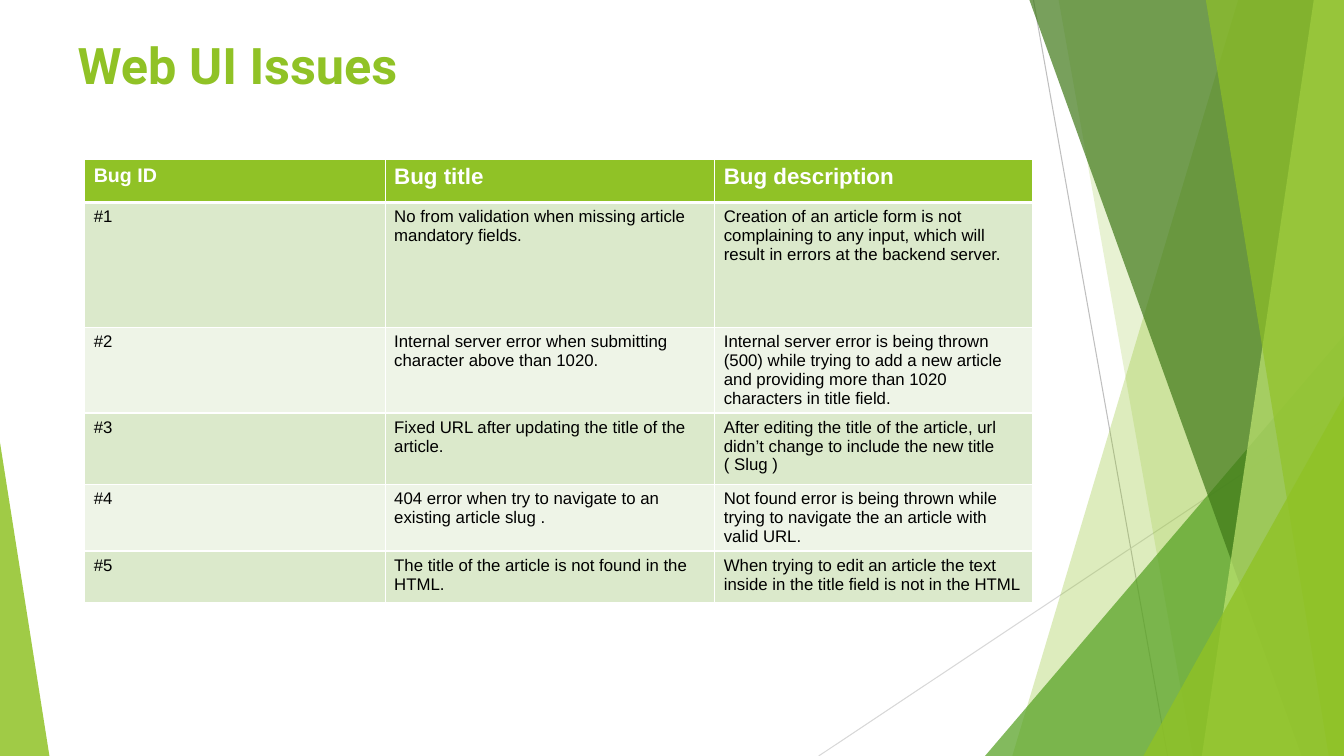
from lxml import etree
from pptx import Presentation
from pptx import util as u
from pptx.dml.color import RGBColor
from pptx.enum import shapes, text
from pptx.oxml import ns

HUES = {
    "lime": "90C226", "leaf": "54A021", "moss": "3F7818", "pale": "BFE471",
    "white": "FFFFFF", "black": "000000", "odd": "DBE9CB", "even": "EEF4E7",
    "grey": "BFBFBF", "mist": "D8D8D8",
}
WIDE, HIGH = 13.33, 7.5

# Top left, top right, bottom right and bottom left x, hue, opacity
BACK = [(12.28, 10.04, "lime", 30), (10.5, 11.83, "lime", 20)]
FRONT = [(10.21, 12.91, "moss", 70), (13.03, 11.92, "pale", 70),
         (11.96, 13.18, "lime", 65)]

HEAD = ["Bug ID", "Bug title", "Bug description"]
BUGS = [
    ("No from validation when missing article mandatory fields.",
     "Creation of an article form is not complaining to any input, "
     "which will result in errors at the backend server."),
    ("Internal server error when submitting character above than 1020.",
     "Internal server error is being thrown (500) while trying to add a new "
     "article and providing more than 1020 characters in title field."),
    ("Fixed URL after updating the title of the article.",
     "After editing the title of the article, url didn\u2019t change to "
     "include the new title ( Slug )"),
    ("404 error when try to navigate to an existing article slug .",
     "Not found error is being thrown while trying to navigate the an "
     "article with valid URL."),
    ("The title of the article is not found in the HTML.",
     "When trying to edit an article the text inside in the title field "
     "is not in the HTML"),
]
COLS = [2.98, 3.27, 3.15]
ROWS = [0.43, 1.24, 0.71, 0.71, 0.51, 0.51]


def rgb(hue):
    """Return the named colour."""
    return RGBColor.from_string(HUES[hue])


def add_run(para, words, size, font, hue, bold=False):
    """Add one formatted run to a paragraph."""
    run = para.add_run()
    run.text = words
    run.font.size = u.Pt(size)
    run.font.name = font
    run.font.bold = bold
    run.font.color.rgb = rgb(hue)


def tint(shape, hue, alpha):
    """Give a shape a see-through fill with no line or shadow."""
    shape.shadow.inherit = False
    shape.line.fill.background()
    shape.fill.solid()
    shape.fill.fore_color.rgb = rgb(hue)
    color = shape.fill._xPr.find(".//" + ns.qn("a:srgbClr"))
    etree.SubElement(color, ns.qn("a:alpha"), val=str(alpha * 1000))


def add_pane(slide, top, foot, hue, alpha):
    """Draw a full-height pane from a slanted left edge to the slide's right."""
    spots = [(top, 0), (WIDE, 0), (WIDE, HIGH), (foot, HIGH)]
    spots = [(u.Inches(x), u.Inches(y)) for x, y in spots]
    pen = slide.shapes.build_freeform(*spots[0])
    pen.add_line_segments(spots[1:], close=True)
    tint(pen.convert_to_shape(), hue, alpha)


def add_wedge(slide, left, top, wide, peak, hue, alpha):
    """Draw a triangle standing on the slide's bottom edge."""
    box = [u.Inches(n) for n in (left, top, wide, HIGH - top)]
    wedge = slide.shapes.add_shape(
        shapes.MSO_SHAPE.ISOSCELES_TRIANGLE, *box)
    wedge.adjustments[0] = peak
    tint(wedge, hue, alpha)


def add_line(slide, x1, y1, x2, y2, hue):
    """Draw a thin straight line."""
    ends = [u.Inches(n) for n in (x1, y1, x2, y2)]
    line = slide.shapes.add_connector(shapes.MSO_CONNECTOR.STRAIGHT, *ends)
    line.line.width = u.Pt(0.75)
    line.line.color.rgb = rgb(hue)
    etree.SubElement(line._element.spPr, ns.qn("a:effectLst"))


def add_decor(slide):
    """Draw the green facets at both sides."""
    add_line(slide, 10.25, 0, 11.58, HIGH, "grey")
    add_line(slide, WIDE, 4.03, 8.12, HIGH, "mist")
    for pane in BACK:
        add_pane(slide, *pane)
    add_wedge(slide, 9.77, 3.33, 3.56, 1, "leaf", 72)
    for pane in FRONT:
        add_pane(slide, *pane)
    add_wedge(slide, 11.34, 3.93, 1.99, 1, "lime", 80)
    add_wedge(slide, 0, 4.39, 0.49, 0, "lime", 85)


def add_edge(cell, side, width):
    """Give one side of a cell a white border."""
    props = cell._tc.get_or_add_tcPr()
    edge = etree.SubElement(props, ns.qn("a:ln" + side),
                            w=str(u.Pt(width)))
    fill = etree.SubElement(edge, ns.qn("a:solidFill"))
    etree.SubElement(fill, ns.qn("a:srgbClr"), val=HUES["white"])


def fill_cell(cell, row, col, words):
    """Style one cell by its place and write its text."""
    thick = {(0, "B"), (1, "T")}
    for side in "LRTB":
        add_edge(cell, side, 3 if (row, side) in thick else 1)
    cell.margin_left = cell.margin_right = u.Inches(0.09)
    cell.margin_top = cell.margin_bottom = u.Inches(0.05)
    cell.fill.solid()
    para = cell.text_frame.paragraphs[0]
    if row == 0:
        cell.fill.fore_color.rgb = rgb("lime")
        add_run(para, words, 16 if col else 14, "Arial", "white", True)
    else:
        cell.fill.fore_color.rgb = rgb("odd" if row % 2 else "even")
        add_run(para, words, 12, "Arial", "black")


def add_bugs(slide):
    """Build the table of bugs."""
    data = [HEAD] + [(f"#{n}", *bug) for n, bug in enumerate(BUGS, 1)]
    box = [u.Inches(n) for n in (0.84, 1.58, sum(COLS), sum(ROWS))]
    table = slide.shapes.add_table(len(ROWS), len(COLS), *box).table
    for col, wide in zip(table.columns, COLS):
        col.width = u.Inches(wide)
    for row, high in zip(table.rows, ROWS):
        row.height = u.Inches(high)
    for r, line in enumerate(data):
        for c, words in enumerate(line):
            fill_cell(table.cell(r, c), r, c, words)


def set_title(slide, words):
    """Place the title and write it."""
    title = slide.shapes.title
    title.left, title.top = u.Inches(0.67), u.Inches(0.29)
    title.width, title.height = u.Inches(9.4), u.Inches(1.44)
    frame = title.text_frame
    frame.word_wrap = True
    frame.auto_size = text.MSO_AUTO_SIZE.NONE
    frame.vertical_anchor = text.MSO_ANCHOR.TOP
    para = frame.paragraphs[0]
    para.alignment = text.PP_ALIGN.LEFT
    add_run(para, words, 36, "Roboto", "lime", True)


def main():
    """Build and save the slide."""
    deck = Presentation()
    deck.slide_width, deck.slide_height = u.Inches(WIDE), u.Inches(HIGH)
    slide = deck.slides.add_slide(deck.slide_layouts[5])
    add_decor(slide)
    set_title(slide, "Web UI Issues")
    add_bugs(slide)
    deck.save("out.pptx")


main()
